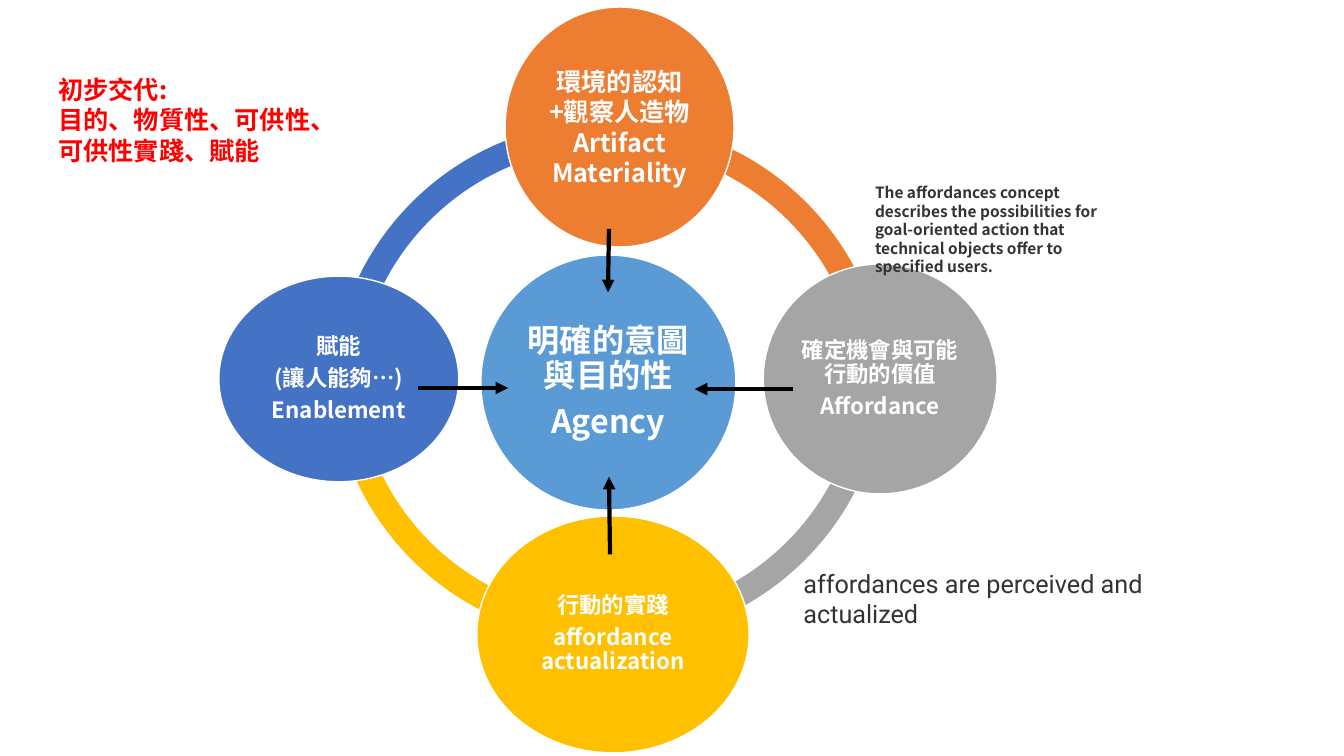
"""Builds the affordance cycle slide: four linked circles around agency."""
from lxml.etree import SubElement
from pptx import Presentation
from pptx.dml.color import RGBColor
from pptx.enum.shapes import MSO_CONNECTOR as Connector, MSO_SHAPE as Preset
from pptx.enum.text import MSO_ANCHOR as Anchor, PP_ALIGN as Align
from pptx.oxml.ns import qn
from pptx.util import Inches, Pt

COLORS = {"blue": "4472C4", "yellow": "FFC000", "gray": "A5A5A5", "orange": "ED7D31",
          "sky": "5B9BD5", "white": "FFFFFF", "black": "000000", "ink": "333333", "red": "FF0000"}
SANS, ROBOTO = "Noto Sans CJK SC", "Roboto"
WIDTH, HEIGHT = Inches(13.33), Inches(7.5)

# All places and sizes below are percentages of the slide's width and height.
RING_SIZE, RING_THICKNESS = (41.26, 73.33), 0.046
ARCS = [
    ("blue", (45.24, 52.67), (110.33, 163.36)),
    ("yellow", (45.24, 48.13), (53.43, 105.96)),
    ("gray", (45.31, 48.13), (2.05, 53.55)),
    ("orange", (45.39, 52.67), (163.2, 213.66)),
]
LOOSE = {"line": 0.9, "after": 0.35}
CIRCLES = [
    ("sky", (45.27, 50.6), (18.98, 33.73), ["明確的意圖與目的性", "Agency"],
     {"size": 23, "inset": 0.03, **LOOSE}),
    ("orange", (46.1, 16.8), (17.03, 31.73), ["環境的認知+觀察人造物 Artifact", "Materiality"],
     {"size": 18, "inset": 0.03}),
    ("gray", (65.49, 50.13), (17.4, 30.4), ["確定機會與可能行動的價值", "Affordance"],
     {"size": 16, "inset": 0.02, **LOOSE}),
    ("yellow", (45.61, 83.93), (20.26, 31.33), ["行動的實踐", "affordance actualization"],
     {"size": 16, "inset": 0.02, **LOOSE}),
    ("blue", (25.21, 50.13), (17.85, 27.2), ["賦能", "(讓人能夠…)", "Enablement"],
     {"size": 16, "inset": 0.02, **LOOSE}),
]
ARROWS = [
    ((45.31, 30.27), (45.24, 38.67)),
    ((59.04, 51.47), (51.69, 51.47)),
    ((45.39, 73.33), (45.31, 63.07)),
    ((31.13, 51.33), (37.81, 51.33)),
]
NOTES = [
    ((64.37, 23.6), (20.78, 11.2),
     ["The affordances concept describes the possibilities for goal-oriented action "
      "that technical objects offer to specified users."], {"size": 11, "color": "ink"}),
    ((59.04, 74.53), (30.68, 9.33), ["affordances are perceived and actualized"],
     {"size": 18, "color": "ink", "name": ROBOTO, "bold": False}),
    ((3.6, 9.2), (22.51, 13.47), ["初步交代:", "目的、物質性、可供性、可供性實踐、賦能"],
     {"size": 18, "color": "red"}),
]


def scale(pair):
    """Turn a pair of percentages into slide lengths."""
    return int(WIDTH * pair[0] / 100), int(HEIGHT * pair[1] / 100)


def rgb(color):
    """Look up a colour by name."""
    return RGBColor.from_string(COLORS[color])


def write(shape, lines, size, color="white", name=SANS, bold=True, align=Align.LEFT,
          anchor=Anchor.TOP, inset=None, line=None, after=0):
    """Fill a shape with formatted paragraphs."""
    frame = shape.text_frame
    frame.word_wrap = True
    frame.vertical_anchor = anchor
    if inset is not None:
        frame.margin_left = frame.margin_right = Inches(inset)
        frame.margin_top = frame.margin_bottom = Inches(inset)
    for index, text in enumerate(lines):
        para = frame.add_paragraph() if index else frame.paragraphs[0]
        para.alignment = align
        para.space_after = Pt(size * after)
        if line:
            para.line_spacing = line
        span = para.add_run()
        span.text = text
        span.font.size, span.font.bold = Pt(size), bold
        span.font.color.rgb = rgb(color)
        span.font.name = name
        SubElement(span.font._element, qn("a:ea"), typeface=name)


def add_centred(page, preset, color, centre, size):
    """Add a filled shape around a centre point."""
    (x, y), (width, height) = scale(centre), scale(size)
    shape = page.shapes.add_shape(preset, x - width // 2, y - height // 2, width, height)
    shape.shadow.inherit = False
    shape.fill.solid()
    shape.fill.fore_color.rgb = rgb(color)
    shape.line.fill.background()
    return shape


def add_arrow(page, start, end):
    """Add a black arrow between two points."""
    arrow = page.shapes.add_connector(Connector.STRAIGHT, *scale(start), *scale(end))
    arrow.line.width = Pt(3)
    arrow.line.color.rgb = rgb("black")
    SubElement(arrow.line._get_or_add_ln(), qn("a:tailEnd"), type="triangle")
    SubElement(arrow._element.spPr, qn("a:effectLst"))


def main():
    """Draw the ring, circles, arrows and notes, then save."""
    deck = Presentation()
    deck.slide_width, deck.slide_height = WIDTH, HEIGHT
    page = deck.slides.add_slide(deck.slide_layouts[6])
    for color, centre, angles in ARCS:
        arc = add_centred(page, Preset.BLOCK_ARC, color, centre, RING_SIZE)
        for index, value in enumerate((*angles, RING_THICKNESS)):
            arc.adjustments[index] = value
    for color, centre, size, lines, style in CIRCLES:
        circle = add_centred(page, Preset.OVAL, color, centre, size)
        circle.line.color.rgb = rgb("white")
        circle.line.width = Pt(1)
        write(circle, lines, align=Align.CENTER, anchor=Anchor.MIDDLE, **style)
    for start, end in ARROWS:
        add_arrow(page, start, end)
    for corner, size, lines, style in NOTES:
        write(page.shapes.add_textbox(*scale(corner), *scale(size)), lines, **style)
    deck.save("out.pptx")


if __name__ == "__main__":
    main()
